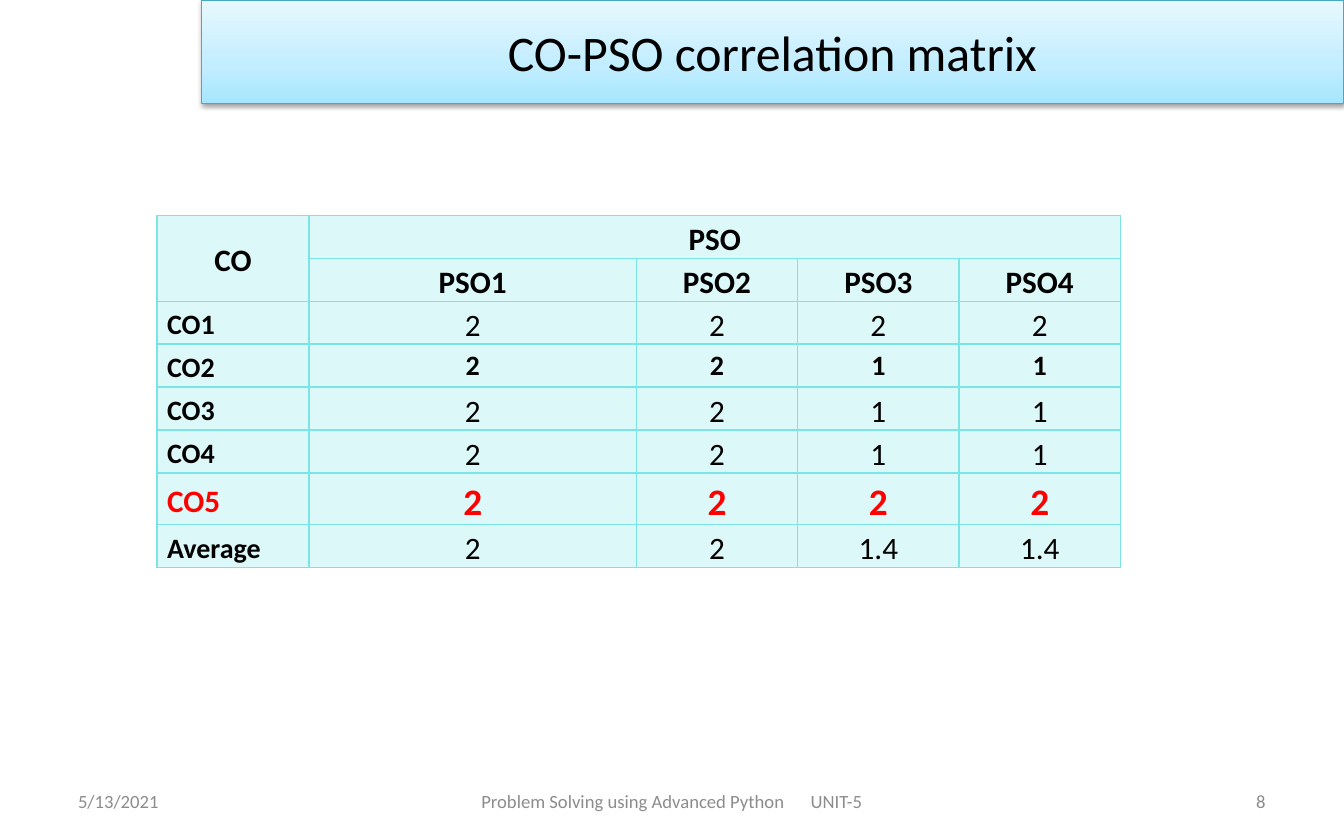
import copy
import lxml.etree
import pptx
import pptx.dml.color
import pptx.enum.shapes
import pptx.enum.text
import pptx.oxml
import pptx.oxml.ns
import pptx.util

Cm = pptx.util.Cm
Pt = pptx.util.Pt
RGB = pptx.dml.color.RGBColor
ALIGN = pptx.enum.text.PP_ALIGN
MID = pptx.enum.text.MSO_ANCHOR.MIDDLE
TOP = pptx.enum.text.MSO_ANCHOR.TOP
qn = pptx.oxml.ns.qn

BLACK = RGB(0x00, 0x00, 0x00)
RED = RGB(0xFF, 0x00, 0x00)
GRAY = RGB(0x8C, 0x8C, 0x8C)
EDGE = RGB(0x46, 0xAA, 0xC5)
AQUA = RGB(0x7B, 0xE5, 0xE5)
FADE = [(0, RGB(0xA7, 0xE6, 0xFF)), (0.35, RGB(0xC1, 0xED, 0xFF)),
        (1, RGB(0xE7, 0xF8, 0xFF))]

HEADS = [["CO", "PSO", "", "", ""], ["", "PSO1", "PSO2", "PSO3", "PSO4"]]
SCORES = [
    ["CO1", "2", "2", "2", "2"],
    ["CO2", "2", "2", "1", "1"],
    ["CO3", "2", "2", "1", "1"],
    ["CO4", "2", "2", "1", "1"],
    ["CO5", "2", "2", "2", "2"],
    ["Average", "2", "2", "1.4", "1.4"],
]
PLAIN = (18, 20, False, BLACK)
STYLES = {"CO2": (18, 18, True, BLACK), "CO5": (20, 24, True, RED)}
WIDTHS = [3.45, 7.42, 3.66, 3.66, 3.66]


def style_text(para, size, color, align, bold=False):
    para.alignment = align
    for run in para.runs:
        run.font.name = "Calibri"
        run.font.size = Pt(size)
        run.font.bold = bold
        run.font.color.rgb = color


def add_foot(slide, left, width, text, align):
    box = slide.shapes.add_textbox(Cm(left), Cm(17.65), Cm(width), Cm(1.02))
    frame = box.text_frame
    frame.word_wrap = True
    frame.vertical_anchor = MID
    frame.text = text
    style_text(frame.paragraphs[0], 12, GRAY, align)
    return frame.paragraphs[0]


def add_topic(para, text, gap):
    for part in (" ", text):
        para.add_run().text = part
    style_text(para, 12, GRAY, para.alignment)
    para.runs[1].font._element.set("spc", str(gap * 100))


def add_shadow(shape):
    shape.shadow.inherit = False
    list_ = shape._element.spPr.find(qn("a:effectLst"))
    shade = lxml.etree.SubElement(
        list_, qn("a:outerShdw"), blurRad="40000", dist="20000",
        dir="5400000", rotWithShape="0")
    tint = lxml.etree.SubElement(shade, qn("a:srgbClr"), val=str(BLACK))
    lxml.etree.SubElement(tint, qn("a:alpha"), val="38000")


def add_title(slide, text):
    bar = slide.shapes.add_shape(
        pptx.enum.shapes.MSO_SHAPE.RECTANGLE, Cm(4.57), 0, Cm(25.91), Cm(2.34))
    bar.fill.gradient()
    bar.fill.gradient_angle = 90
    stops = bar._element.spPr.find(".//" + qn("a:gsLst"))
    stops.append(copy.deepcopy(stops[0]))
    for stop, (place, color) in zip(bar.fill.gradient_stops, FADE):
        stop.position = place
        stop.color.rgb = color
    bar.line.color.rgb = EDGE
    bar.line.width = Pt(0.75)
    add_shadow(bar)
    bar.text_frame.vertical_anchor = MID
    bar.text_frame.text = text
    style_text(bar.text_frame.paragraphs[0], 32, BLACK, ALIGN.CENTER)


def paint_cell(cell):
    cell.fill.solid()
    cell.fill.fore_color.rgb = AQUA
    props = cell._tc.get_or_add_tcPr()
    tint = props.find(".//" + qn("a:srgbClr"))
    lxml.etree.SubElement(tint, qn("a:alpha"), val="25000")
    for spot, side in enumerate(("a:lnL", "a:lnR", "a:lnT", "a:lnB")):
        line = pptx.oxml.parse_xml(
            f'<{side} {pptx.oxml.ns.nsdecls("a")} w="12700"><a:solidFill>'
            f'<a:srgbClr val="{AQUA}"/></a:solidFill></{side}>')
        props.insert(spot, line)


def fill_cell(cell, text, size, color, align, bold, anchor):
    cell.margin_left = cell.margin_right = Cm(0.23)
    cell.margin_top = cell.margin_bottom = 0
    cell.vertical_anchor = anchor
    cell.text_frame.text = text
    para = cell.text_frame.paragraphs[0]
    para.line_spacing = 1.15
    style_text(para, size, color, align, bold)
    paint_cell(cell)


def add_matrix(slide):
    count = len(HEADS) + len(SCORES)
    table = slide.shapes.add_table(
        count, len(WIDTHS), Cm(3.56), Cm(4.88),
        Cm(sum(WIDTHS)), Cm(0.97 * count)).table
    table.first_row = table.horz_banding = False
    for col, width in zip(table.columns, WIDTHS):
        col.width = Cm(width)
    for row in table.rows:
        row.height = Cm(0.97)
    for r, heads in enumerate(HEADS):
        for c, text in enumerate(heads):
            fill_cell(table.cell(r, c), text, 20, BLACK, ALIGN.CENTER, True,
                      TOP if c else MID)
    for r, (label, *marks) in enumerate(SCORES, len(HEADS)):
        small, large, bold, color = STYLES.get(label, PLAIN)
        fill_cell(table.cell(r, 0), label, small, color, ALIGN.LEFT, True, MID)
        for c, mark in enumerate(marks, 1):
            fill_cell(table.cell(r, c), mark, large, color, ALIGN.CENTER,
                      bold, TOP)
    table.cell(0, 0).merge(table.cell(1, 0))
    table.cell(0, 1).merge(table.cell(0, 4))


def main():
    deck = pptx.Presentation()
    deck.slide_width, deck.slide_height = Cm(30.48), Cm(19.05)
    slide = deck.slides.add_slide(deck.slide_layouts[6])
    add_foot(slide, 1.52, 7.11, "5/13/2021", ALIGN.LEFT)
    add_foot(slide, 21.84, 7.11, "8", ALIGN.RIGHT)
    add_title(slide, "CO-PSO correlation matrix")
    add_matrix(slide)
    course = add_foot(slide, 10.41, 9.65, "Problem Solving using Advanced Python",
                      ALIGN.CENTER)
    add_topic(course, "UNIT-5", 14)
    deck.save("out.pptx")


if __name__ == "__main__":
    main()
